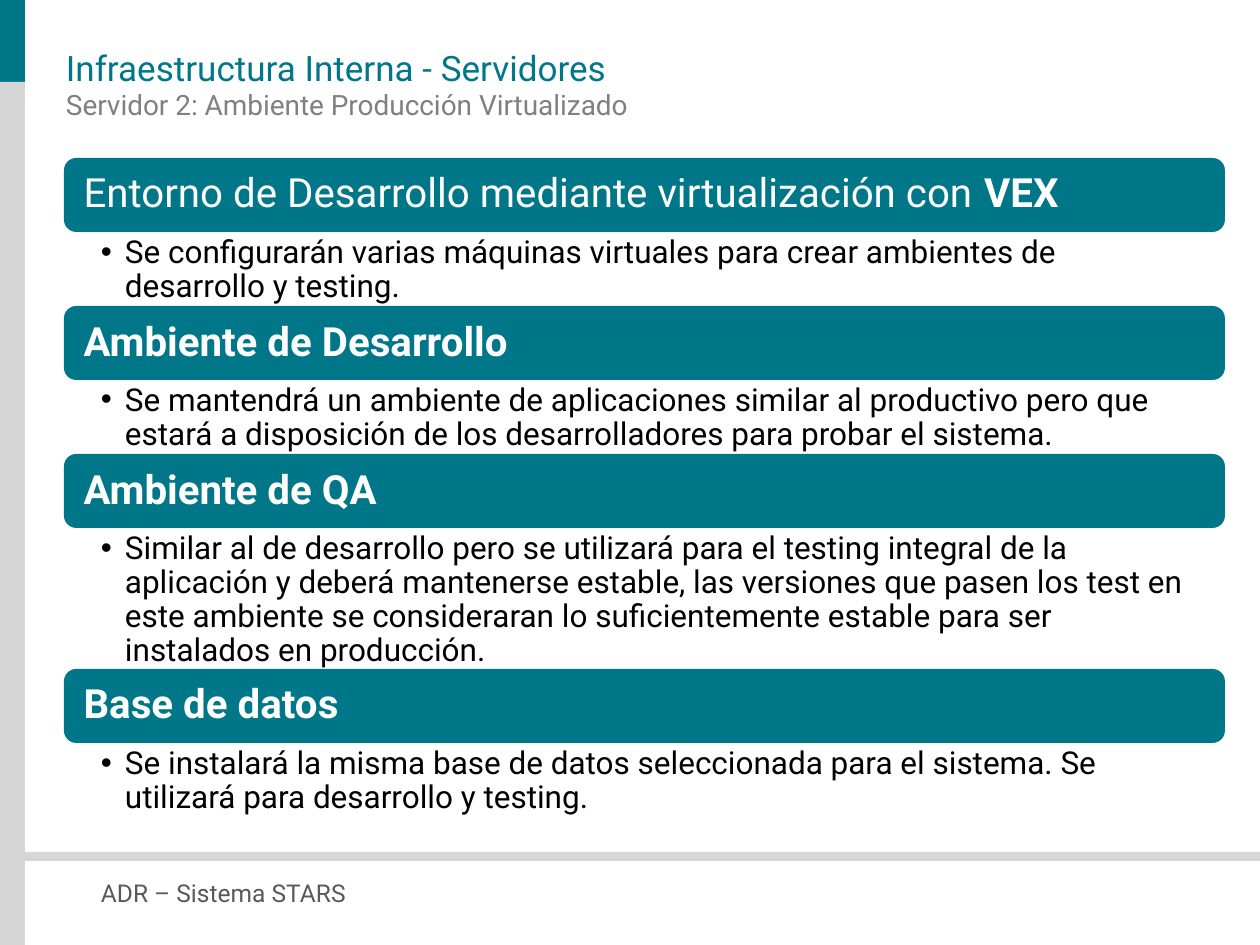
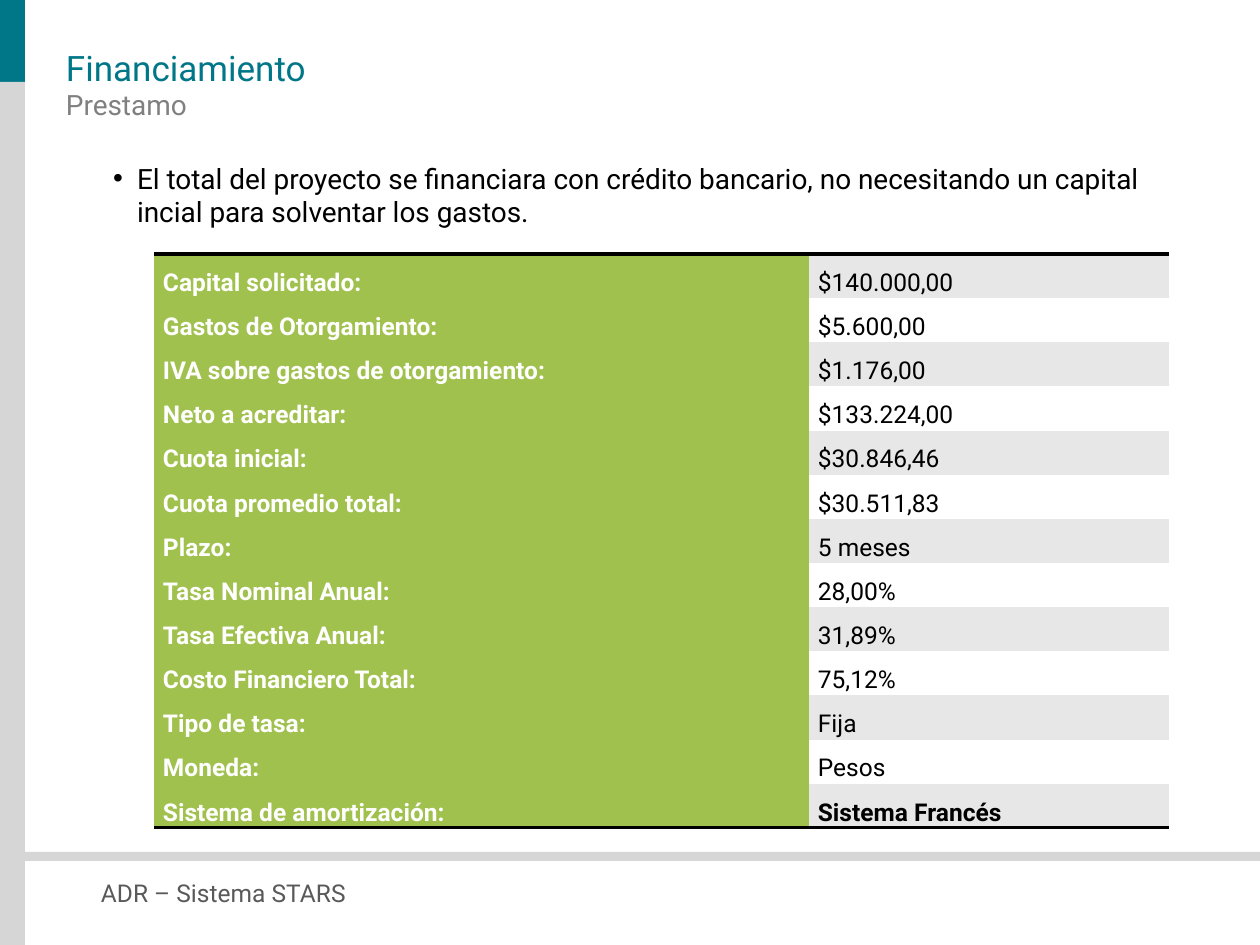
from dataclasses import dataclass

from lxml import etree
from pptx import Presentation
from pptx.dml.color import RGBColor
from pptx.enum.shapes import MSO_SHAPE
from pptx.enum.text import MSO_ANCHOR
from pptx.oxml.ns import qn
from pptx.util import Pt

RECT = MSO_SHAPE.RECTANGLE
ROUNDED = MSO_SHAPE.ROUNDED_RECTANGLE
TOP = MSO_ANCHOR.TOP
MIDDLE = MSO_ANCHOR.MIDDLE

FOOTER = "ADR – Sistema STARS"

SERVERS = {
    "title": "Infraestructura Interna - Servidores",
    "subtitle": "Servidor 2: Ambiente Producción Virtualizado",
    "sections": [
        ([("Entorno de Desarrollo mediante virtualización con ", False), ("VEX", True)], 74,
         "Se configurarán varias máquinas virtuales para crear ambientes de desarrollo y testing."),
        ([("Ambiente de Desarrollo", True)], 74,
         "Se mantendrá un ambiente de aplicaciones similar al productivo pero que estará a "
         "disposición de los desarrolladores para probar el sistema."),
        ([("Ambiente de QA", True)], 141,
         "Similar al de desarrollo pero se utilizará para el testing integral de la aplicación y "
         "deberá mantenerse estable, las versiones que pasen los test en este ambiente se "
         "consideraran lo suficientemente estable para ser instalados en producción."),
        ([("Base de datos", True)], 74,
         "Se instalará la misma base de datos seleccionada para el sistema. Se utilizará para "
         "desarrollo y testing."),
    ],
}

FINANCING = {
    "title": "Financiamiento",
    "subtitle": "Prestamo",
    "intro": "El total del proyecto se financiara con crédito bancario, no necesitando un capital "
             "incial para solventar los gastos.",
    "loan": [
        ("Capital solicitado:", "$140.000,00"),
        ("Gastos de Otorgamiento:", "$5.600,00"),
        ("IVA sobre gastos de otorgamiento:", "$1.176,00"),
        ("Neto a acreditar:", "$133.224,00"),
        ("Cuota inicial:", "$30.846,46"),
        ("Cuota promedio total:", "$30.511,83"),
        ("Plazo:", "5 meses"),
        ("Tasa Nominal Anual:", "28,00%"),
        ("Tasa Efectiva Anual:", "31,89%"),
        ("Costo Financiero Total:", "75,12%"),
        ("Tipo de tasa:", "Fija"),
        ("Moneda:", "Pesos"),
        ("Sistema de amortización:", "Sistema Francés"),
    ],
}


@dataclass(frozen=True)
class Theme:
    font: str = "Roboto"
    teal: str = "007788"
    band: str = "D6D6D6"
    footer: str = "595959"
    subtitle: str = "808080"
    green: str = "A1C14E"
    stripe: str = "E7E7E7"
    white: str = "FFFFFF"
    black: str = "000000"
    title_pt: int = 20
    body_pt: int = 16
    bar_pt: int = 23
    detail_pt: int = 18
    small_pt: int = 14


T = Theme()
SLIDE_W, SLIDE_H = 1260, 945
BAND_W, ACCENT_H = 25, 82
BAR_X, BAR_Y, BAR_W, BAR_H = 64, 158, 1161, 74
TABLE_X, TABLE_Y, ROW_H = 154, 254, 43
COLUMNS = (655, 360)
HANGING = 24
NO_GRID_STYLE = "{2D5ABB26-0587-4C30-8999-92F81FD0307C}"


def px(n):
    return round(n * 914400 / 126)


def rgb(color):
    return RGBColor.from_string(color)


def add_runs(p, runs, size, color):
    for text, bold in runs:
        r = p.add_run()
        r.text = text
        r.font.name = T.font
        r.font.size = Pt(size)
        r.font.bold = bold
        r.font.color.rgb = rgb(color)


def set_insets(target, insets):
    target.margin_left, target.margin_top, target.margin_right, target.margin_bottom = map(px, insets)


def write(sp, runs, size, color, insets=(0, 0, 0, 0), anchor=TOP,
          line=None, before=None, after=None, bullet=False):
    tf = sp.text_frame
    tf.word_wrap = True
    tf.vertical_anchor = anchor
    set_insets(tf, insets)
    p = tf.paragraphs[0]
    p.line_spacing = line
    if before is not None:
        p.space_before = Pt(before)
    if after is not None:
        p.space_after = Pt(after)
    if bullet:
        pPr = p._p.get_or_add_pPr()
        pPr.set("marL", str(px(HANGING)))
        pPr.set("indent", str(-px(HANGING)))
        etree.SubElement(pPr, qn("a:buFont")).set("typeface", "Arial")
        etree.SubElement(pPr, qn("a:buChar")).set("char", "•")
    add_runs(p, runs, size, color)


def add_text(s, box, text, size, color, **style):
    sp = s.shapes.add_textbox(*map(px, box))
    write(sp, [(text, False)], size, color, **style)


def add_block(s, kind, box, fill):
    sp = s.shapes.add_shape(kind, *map(px, box))
    sp.shadow.inherit = False
    sp.fill.solid()
    sp.fill.fore_color.rgb = rgb(fill)
    sp.line.fill.background()
    return sp


def add_base_slide(prs, content):
    s = prs.slides.add_slide(prs.slide_layouts[6])
    add_block(s, RECT, (0, 0, BAND_W, ACCENT_H), T.teal)
    add_block(s, RECT, (0, ACCENT_H, BAND_W, SLIDE_H - ACCENT_H), T.band)
    add_block(s, RECT, (21, 852, SLIDE_W - 21, 9), T.band)
    add_text(s, (101, 878, 905, 29), FOOTER, T.small_pt, T.footer)
    add_text(s, (66, 48, 1164, 40), content["title"], T.title_pt, T.teal, anchor=MIDDLE)
    add_text(s, (66, 88, 1164, 32), content["subtitle"], T.body_pt, T.subtitle, before=3.2)
    return s


def add_sections(s, sections):
    y = BAR_Y
    for heading, detail_h, detail in sections:
        bar = add_block(s, ROUNDED, (BAR_X, y, BAR_W, BAR_H), T.teal)
        write(bar, heading, T.bar_pt, T.white, insets=(16, 16, 16, 16),
              anchor=MIDDLE, line=0.9, after=8)
        bar.text_frame.paragraphs[0].alignment = 1
        y += BAR_H
        add_text(s, (BAR_X, y, BAR_W, detail_h), detail, T.detail_pt, T.black,
                 insets=(37, 4, 23, 4), line=0.9, after=3.6, bullet=True)
        y += detail_h


def add_rule(cell, side):
    ln = etree.Element(qn(f"a:{side}"), w=str(Pt(2)))
    fill = etree.SubElement(ln, qn("a:solidFill"))
    etree.SubElement(fill, qn("a:srgbClr")).set("val", T.black)
    cell._tc.get_or_add_tcPr().insert(0, ln)


def fill_cell(cell, text, bold, color, fill):
    set_insets(cell, (9, 0, 9, 0))
    cell.fill.solid()
    cell.fill.fore_color.rgb = rgb(fill)
    p = cell.text_frame.paragraphs[0]
    p.line_spacing = 1.5
    p.space_before = Pt(6)
    p.space_after = Pt(2)
    add_runs(p, [(text, bold)], T.small_pt, color)


def add_loan_table(s, loan):
    last = len(loan) - 1
    box = (TABLE_X, TABLE_Y, sum(COLUMNS), ROW_H * len(loan))
    table = s.shapes.add_table(len(loan), len(COLUMNS), *map(px, box)).table
    table.first_row = table.horz_banding = False
    table._tbl.tblPr.find(qn("a:tableStyleId")).text = NO_GRID_STYLE
    for column, width in zip(table.columns, COLUMNS):
        column.width = px(width)
    for i, (label, value) in enumerate(loan):
        table.rows[i].height = px(ROW_H)
        fill_cell(table.cell(i, 0), label, True, T.white, T.green)
        fill_cell(table.cell(i, 1), value, i == last, T.black, T.white if i % 2 else T.stripe)
    for j in range(len(COLUMNS)):
        add_rule(table.cell(0, j), "lnT")
        add_rule(table.cell(last, j), "lnB")


def main():
    prs = Presentation()
    prs.slide_width, prs.slide_height = px(SLIDE_W), px(SLIDE_H)

    s = add_base_slide(prs, SERVERS)
    add_sections(s, SERVERS["sections"])

    s = add_base_slide(prs, FINANCING)
    add_text(s, (100, 155, 1087, 674), FINANCING["intro"], T.body_pt, T.black,
             insets=(13, 6, 13, 6), before=3.2, bullet=True)
    add_loan_table(s, FINANCING["loan"])

    prs.save("out.pptx")


if __name__ == "__main__":
    main()
